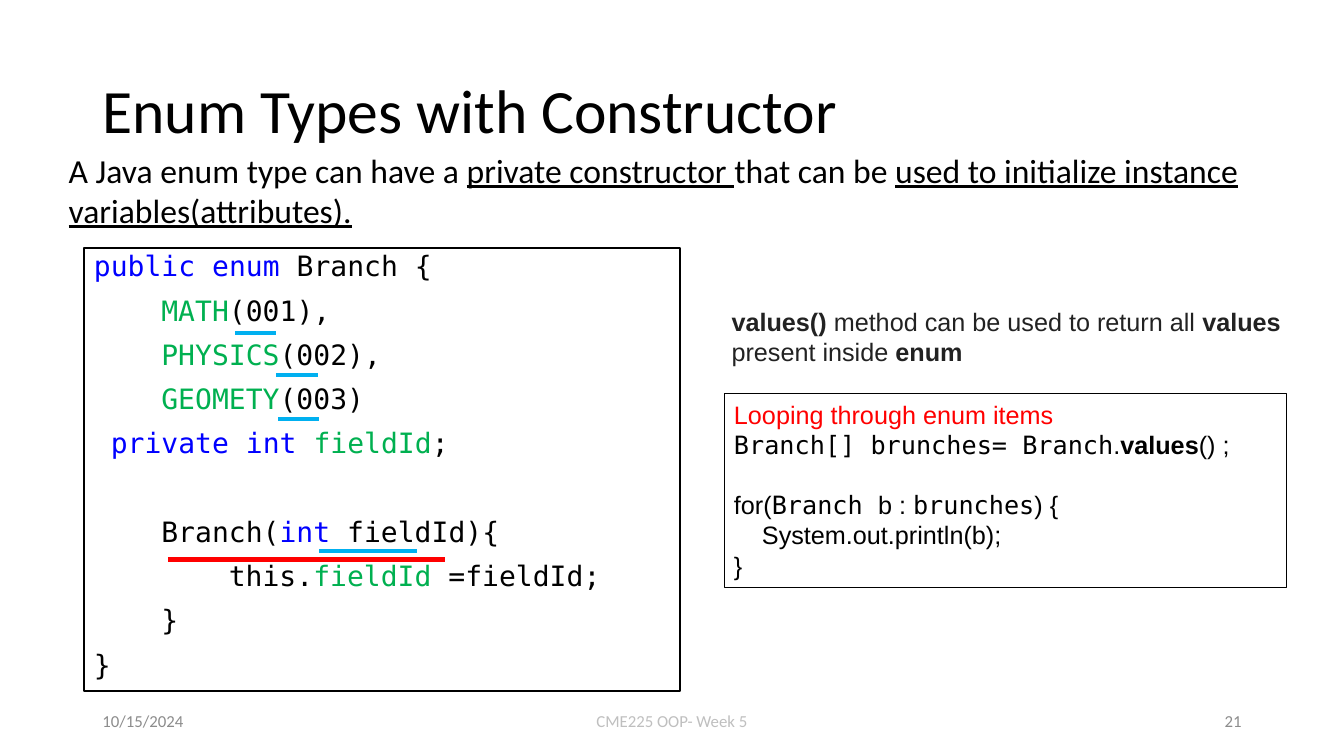
from pptx import Presentation
from pptx.dml.color import RGBColor
from pptx.enum.shapes import MSO_CONNECTOR as Connector, MSO_SHAPE as Shape
from pptx.enum.text import MSO_ANCHOR as Anchor, PP_ALIGN as Align
from pptx.oxml.ns import qn
from pptx.util import Inches, Pt
from lxml import etree

BLACK = RGBColor(0x00, 0x00, 0x00)
WHITE = RGBColor(0xFF, 0xFF, 0xFF)
RED = RGBColor(0xFF, 0x00, 0x00)
KEYWORD = RGBColor(0x00, 0x00, 0xFF)
FIELD = RGBColor(0x00, 0xB0, 0x50)
MARKER = RGBColor(0x00, 0xB0, 0xF0)
CHARCOAL = RGBColor(0x22, 0x22, 0x22)
GRAY = RGBColor(0x8C, 0x8C, 0x8C)
PALE_GRAY = RGBColor(0xBF, 0xBF, 0xBF)

SANS, ARIAL, MONO = "Calibri", "Arial", "DejaVu Sans Mono"
COLUMNS, ROWS = 160, 90
CODE_CHAR = 12.04  # width in points of one 20 pt monospaced character


def add_run(paragraph, text, font=SANS, size=18, color=BLACK, bold=False, underline=False):
    run = paragraph.add_run()
    run.text = text
    run.font.name = font
    run.font.size = Pt(size)
    run.font.color.rgb = color
    run.font.bold = bold
    run.font.underline = underline


def line(*parts, **layout):
    """One paragraph: parts are strings or (string, format) pairs."""
    return parts, layout


class SlideBuilder:
    def __init__(self, deck, **style):
        self.shapes = deck.slides.add_slide(deck.slide_layouts[6]).shapes
        self.unit_x = deck.slide_width / COLUMNS
        self.unit_y = deck.slide_height / ROWS
        self.style = style

    def place(self, column, row):
        return round(column * self.unit_x), round(row * self.unit_y)

    def fill_frame(self, frame, lines, anchor=Anchor.TOP, align=Align.LEFT,
                   spacing=None, before=0, **style):
        frame.word_wrap = True
        frame.vertical_anchor = anchor
        for index, (parts, layout) in enumerate(lines):
            paragraph = frame.paragraphs[0] if index == 0 else frame.add_paragraph()
            paragraph.alignment = align
            paragraph.line_spacing = spacing
            paragraph.space_before = Pt(before + layout.get("gap", 0))
            if "indent" in layout:
                properties = paragraph._p.get_or_add_pPr()
                properties.set("marL", str(int(Pt(layout["indent"]))))
                properties.set("indent", "0")
            for part in parts:
                text, changes = (part, {}) if isinstance(part, str) else part
                add_run(paragraph, text, **{**self.style, **style, **changes})

    def text(self, column, row, width, height, lines, **style):
        box = self.shapes.add_textbox(*self.place(column, row), *self.place(width, height))
        self.fill_frame(box.text_frame, lines, **style)

    def panel(self, column, row, width, height, lines, border=None, **style):
        box = self.shapes.add_shape(
            Shape.RECTANGLE, *self.place(column, row), *self.place(width, height))
        box.shadow.inherit = False
        box.fill.solid()
        box.fill.fore_color.rgb = WHITE
        if border:
            box.line.color.rgb = BLACK
            box.line.width = Pt(border)
        else:
            box.line.fill.background()
        self.fill_frame(box.text_frame, lines, **style)

    def underscore(self, start, end, row, color):
        stroke = self.shapes.add_connector(
            Connector.STRAIGHT, *self.place(start, row), *self.place(end, row))
        stroke.line.color.rgb = color
        stroke.line.width = Pt(3)
        etree.SubElement(stroke._element.spPr, qn("a:effectLst"))


def main():
    deck = Presentation()
    deck.slide_width, deck.slide_height = Inches(13.33), Inches(7.5)
    slide = SlideBuilder(deck, font=SANS, color=BLACK)

    keyword, field = {"color": KEYWORD}, {"color": FIELD}
    bold, mono, underlined = {"bold": True}, {"font": MONO}, {"underline": True}

    slide.text(11, 4.8, 138, 17.4, [line("Enum Types with Constructor")],
               size=44, anchor=Anchor.MIDDLE, spacing=0.9)

    constants = [("MATH", "(001),"), ("PHYSICS", "(002),"), ("GEOMETY", "(003)")]
    enum_code = [
        line(("public enum", keyword), " Branch {"),
        *[line((name, field), value, indent=4 * CODE_CHAR) for name, value in constants],
        line(("private int ", keyword), ("fieldId", field), ";", indent=CODE_CHAR),
        line("Branch(", ("int", keyword), " fieldId){", indent=4 * CODE_CHAR, gap=31.5),
        line("this.", ("fieldId", field), " =fieldId;", indent=8 * CODE_CHAR),
        line("}", indent=4 * CODE_CHAR),
        line("}"),
    ]
    slide.panel(10, 29.5, 71, 52.8, enum_code, border=1.5,
                font=MONO, size=20, spacing=0.9, before=10)

    footers = [
        (11, 36, "10/15/2024", Align.LEFT, GRAY),
        (53, 54, "CME225 OOP- Week 5", Align.CENTER, PALE_GRAY),
        (113, 36, "21", Align.RIGHT, GRAY),
    ]
    for column, width, label, align, color in footers:
        slide.text(column, 83.4, width, 4.8, [line(label)], size=12,
                   color=color, align=align, anchor=Anchor.MIDDLE)

    statement = line("A Java enum type can have a ", ("private constructor ", underlined),
                     "that can be ",
                     ("used to initialize instance variables(attributes).", underlined))
    slide.panel(7, 17.2, 148, 10.9, [statement], size=24)

    slide.underscore(20, 53, 66.6, RED)
    for start, end, row in [(38, 49.6, 65.6), (28, 32.9, 39.6),
                            (32.9, 37.8, 44.6), (33.1, 38, 49.9)]:
        slide.underscore(start, end, row, MARKER)

    loop_code = [
        line(("Looping through enum items", {"color": RED})),
        line(("Branch[] brunches= Branch", mono), ".", ("values", bold), "() ;"),
        line("for(", ("Branch ", mono), "b : ", ("brunches", mono), ") {", gap=21.5),
        line("System.out.println(b);", indent=20),
        line("}"),
    ]
    slide.panel(86.2, 46.9, 67, 23, loop_code, border=0.75, font=ARIAL)

    values_note = line(("values()", bold), " method can be used to return all ",
                       ("values", bold), " present inside ", ("enum", bold))
    slide.text(85.9, 35.9, 71, 8.5, [values_note], font=ARIAL, color=CHARCOAL)

    deck.save("out.pptx")


if __name__ == "__main__":
    main()
